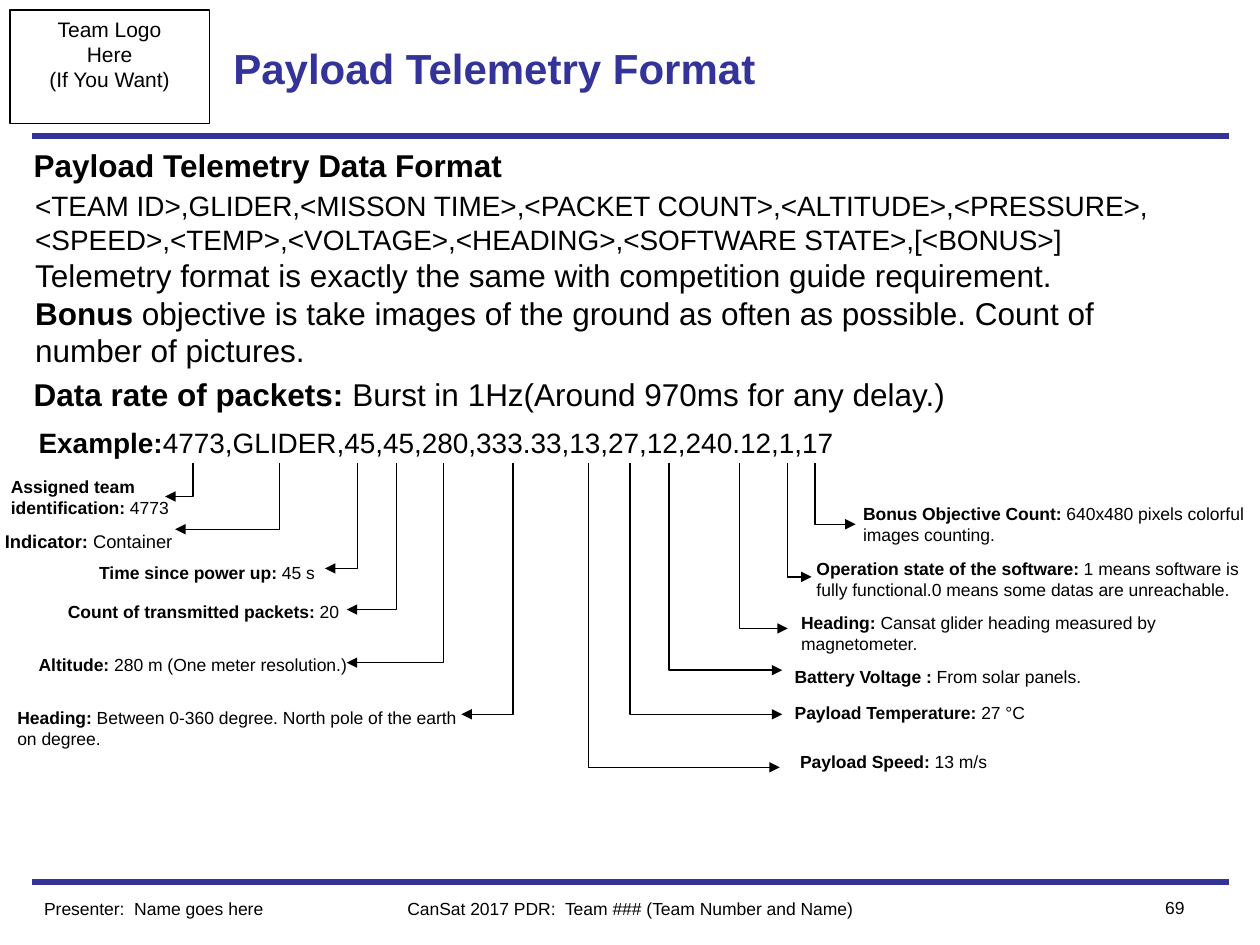
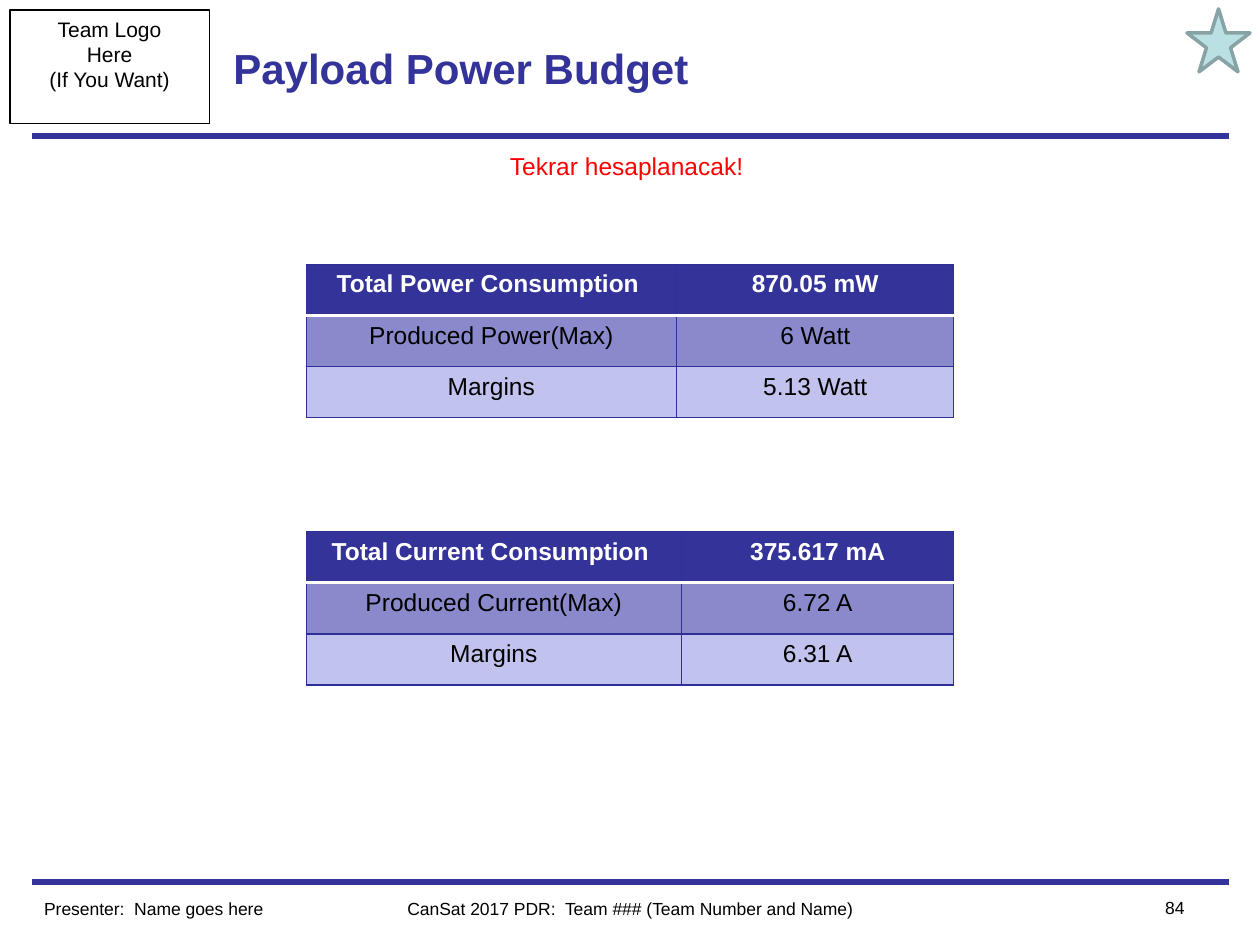
"""Build the CanSat payload telemetry format and power budget slides."""
from dataclasses import dataclass
from typing import NamedTuple

from lxml.etree import SubElement
from pptx import Presentation
from pptx.dml.color import RGBColor
from pptx.enum.shapes import MSO_CONNECTOR, MSO_SHAPE
from pptx.enum.text import MSO_ANCHOR, MSO_AUTO_SIZE, PP_ALIGN
from pptx.oxml import parse_xml
from pptx.oxml.ns import nsdecls, qn
from pptx.util import Cm, Pt


@dataclass(frozen=True)
class Theme:
    """Colours, font and type sizes in points."""
    font: str = "Arial"
    navy: str = "333399"
    grid: str = "2F2F98"
    row_dark: str = "8989CC"
    row_light: str = "C2C2EE"
    star_fill: str = "BBE0E3"
    star_line: str = "88A3A5"
    red: str = "FF0000"
    black: str = "000000"
    white: str = "FFFFFF"
    title: float = 24
    body: float = 18
    packet: float = 16
    table: float = 14
    logo: float = 12
    small: float = 10


T = Theme()


class Run(NamedTuple):
    """A stretch of text in one format."""
    text: str
    bold: bool = False
    size: float = T.small
    color: str = T.black


class Box(NamedTuple):
    """Left, top, width and height in centimetres."""
    left: float
    top: float
    width: float
    height: float

    def emu(self) -> list:
        return [Cm(v) for v in self]


class Callout(NamedTuple):
    """A label and the arrow to it from one packet field."""
    field_x: float
    tip_x: float
    tip_y: float
    left: float
    top: float
    width: float
    lines: int
    name: str
    meaning: str
    size: float = T.small
    lead: str = ""


class Budget(NamedTuple):
    """A two-column table of budget values."""
    top: float
    columns: tuple
    rows: tuple


FIELD_Y = 9.33
CALLOUTS = [
    Callout(3.89, 3.33, 10.01, -0.03, 9.47, 3.73, 2, "identification: ", "4773",
            lead="Assigned team"),
    Callout(5.64, 3.53, 10.67, -0.15, 10.57, 3.99, 1, "Indicator: ", "Container", 10.5),
    Callout(7.21, 6.55, 11.46, 1.75, 11.2, 4.98, 1, "Time since power up: ", "45 s"),
    Callout(8, 6.99, 12.29, 1.12, 11.99, 6.07, 1, "Count of transmitted packets: ", "20"),
    Callout(8.94, 6.99, 13.36, 0.53, 13.06, 6.88, 1, "Altitude: ",
            "280 m (One meter resolution.)"),
    Callout(10.34, 9.3, 14.4, 0.1, 14.12, 9.37, 2, "Heading: ",
            "Between 0-360 degree. North pole of the earth on degree."),
    Callout(11.86, 15.72, 15.47, 15.88, 15.01, 9.5, 1, "Payload Speed: ", "13 m/s"),
    Callout(12.7, 15.77, 14.4, 15.77, 14.02, 9.5, 1, "Payload Temperature: ", "27 °C"),
    Callout(13.49, 15.77, 13.51, 15.77, 13.31, 9.5, 1, "Battery Voltage : ",
            "From solar panels."),
    Callout(14.91, 15.88, 12.67, 15.9, 12.22, 9.5, 2, "Heading: ",
            "Cansat glider heading measured by magnetometer."),
    Callout(15.88, 16.36, 11.63, 16.21, 11.13, 9.5, 2, "Operation state of the software: ",
            "1 means software is fully functional.0 means some datas are unreachable."),
    Callout(16.43, 17.25, 10.57, 17.15, 10.01, 8.26, 2, "Bonus Objective Count: ",
            "640x480 pixels colorful images counting."),
]

TELEMETRY_TEXT = [
    (Box(0.46, 3.68, 23.5, 3.94), [
        [Run("<TEAM ID>,GLIDER,<MISSON TIME>,<PACKET COUNT>,<ALTITUDE>,<PRESSURE>,",
             size=T.packet)],
        [Run("<SPEED>,<TEMP>,<VOLTAGE>,<HEADING>,<SOFTWARE STATE>,[<BONUS>]", size=T.packet)],
        [Run("Telemetry format is exactly the same with competition guide requirement.",
             size=T.body)],
        [Run("Bonus ", True, T.body),
         Run("objective is take images of the ground as often as possible. "
             "Count of number of pictures.", size=T.body)]]),
    (Box(0.43, 7.44, 19.48, 1.02), [
        [Run("Data rate of packets: ", True, T.body),
         Run("Burst in 1Hz(Around 970ms for any delay.)", size=T.body)]]),
    (Box(0.53, 8.46, 24.33, 0.94), [
        [Run("Example:", True, T.packet),
         Run("4773,GLIDER,45,45,280,333.33,13,27,12,240.12,1,17", size=T.packet)]]),
    (Box(0.43, 2.82, 11.76, 1.02), [
        [Run("Payload Telemetry Data Format", True, T.body)]]),
]

BUDGETS = [
    Budget(5.33, (7.47, 5.59), (("Total Power Consumption ", "870.05 mW"),
                                ("Produced Power(Max)", "6 Watt"),
                                ("Margins", "5.13 Watt"))),
    Budget(10.72, (7.57, 5.49), (("Total Current Consumption ", "375.617 mA"),
                                 ("Produced Current(Max)", "6.72 A"),
                                 ("Margins", "6.31 A"))),
]


def rgb(color: str) -> RGBColor:
    return RGBColor.from_string(color)


def write(tf, paragraphs: list, align=PP_ALIGN.LEFT) -> None:
    for i, runs in enumerate(paragraphs):
        p = tf.add_paragraph() if i else tf.paragraphs[0]
        p.alignment = align
        for run in runs:
            r = p.add_run()
            r.text = run.text
            r.font.name = T.font
            r.font.size = Pt(run.size)
            r.font.bold = run.bold
            r.font.color.rgb = rgb(run.color)


def add_text(s, box: Box, paragraphs: list, align=PP_ALIGN.LEFT) -> None:
    tf = s.shapes.add_textbox(*box.emu()).text_frame
    tf.word_wrap = True
    write(tf, paragraphs, align)


def add_shape(s, kind, box: Box, line: str, width: float, fill: str = ""):
    sp = s.shapes.add_shape(kind, *box.emu())
    sp.shadow.inherit = False
    if fill:
        sp.fill.solid()
        sp.fill.fore_color.rgb = rgb(fill)
    else:
        sp.fill.background()
    sp.line.color.rgb = rgb(line)
    sp.line.width = Pt(width)
    return sp


def add_line(s, kind, start: tuple, end: tuple, color: str, width: float):
    cxn = s.shapes.add_connector(kind, *(Cm(v) for v in (*start, *end)))
    cxn.line.color.rgb = rgb(color)
    cxn.line.width = Pt(width)
    SubElement(cxn._element.spPr, qn("a:effectLst"))
    return cxn


def add_elbow_arrow(s, x: float, y: float, tip_x: float, tip_y: float) -> None:
    """Draw an arrow that goes down, then sideways, as a turned elbow connector."""
    drop, reach = tip_y - y, abs(tip_x - x)
    left, top = (x + tip_x - drop) / 2, (y + tip_y - reach) / 2
    begin, end = left, left + drop
    rightward = tip_x > x
    if rightward:
        begin, end = end, begin
    cxn = add_line(s, MSO_CONNECTOR.ELBOW, (begin, top), (end, top + reach), T.black, 0.75)
    sp_pr = cxn._element.spPr
    sp_pr.find(qn("a:xfrm")).set("rot", str((270 if rightward else 90) * 60000))
    guides = sp_pr.find(qn("a:prstGeom")).get_or_add_avLst()
    SubElement(guides, qn("a:gd"), name="adj1", fmla="val 100000")
    SubElement(sp_pr.find(qn("a:ln")), qn("a:tailEnd"), type="triangle")


def add_callout(s, c: Callout) -> None:
    add_elbow_arrow(s, c.field_x, FIELD_Y, c.tip_x, c.tip_y)
    lead = [[Run(c.lead, True, c.size)]] if c.lead else []
    label = [Run(c.name, True, c.size), Run(c.meaning, size=c.size)]
    add_text(s, Box(c.left, c.top, c.width, 0.69 + 0.43 * (c.lines - 1)), lead + [label])


def set_borders(cell, top: tuple, bottom: tuple) -> None:
    side = (T.grid, 0.75)
    for i, (tag, (color, width)) in enumerate(
            zip(("lnL", "lnR", "lnT", "lnB"), (side, side, top, bottom))):
        cell._tc.get_or_add_tcPr().insert(i, parse_xml(
            f'<a:{tag} {nsdecls("a")} w="{Pt(width)}"><a:solidFill>'
            f'<a:srgbClr val="{color}"/></a:solidFill></a:{tag}>'))


def add_budget(s, budget: Budget) -> None:
    row_height = 1.03
    box = Box(6.17, budget.top, sum(budget.columns), row_height * len(budget.rows))
    table = s.shapes.add_table(len(budget.rows), 2, *box.emu()).table
    for column, width in zip(table.columns, budget.columns):
        column.width = Cm(width)
    thin, thick = (T.grid, 0.75), (T.white, 2)
    fills = (T.navy, T.row_dark, T.row_light)
    for i, (texts, fill) in enumerate(zip(budget.rows, fills)):
        head = i == 0
        for j, text in enumerate(texts):
            cell = table.cell(i, j)
            cell.fill.solid()
            cell.fill.fore_color.rgb = rgb(fill)
            set_borders(cell, thick if i == 1 else thin, thick if head else thin)
            color = T.white if head else T.black
            write(cell.text_frame, [[Run(text, head, T.table, color)]], PP_ALIGN.CENTER)


def add_base_slide(prs, title: str, number: int):
    s = prs.slides.add_slide(prs.slide_layouts[5])
    for y in (17.78, 2.74):
        add_line(s, MSO_CONNECTOR.STRAIGHT, (0.64, y), (24.77, y), T.navy, 3)
    logo = add_shape(s, MSO_SHAPE.RECTANGLE, Box(0.2, 0.2, 4.02, 2.29), T.black, 0.75)
    logo.text_frame.vertical_anchor = MSO_ANCHOR.TOP
    lines = ("Team Logo", "Here", "(If You Want)")
    write(logo.text_frame, [[Run(line, size=T.logo)] for line in lines], PP_ALIGN.CENTER)
    sp = s.shapes.title
    sp.left, sp.top, sp.width, sp.height = Box(4.45, 0.2, 16.5, 2.34).emu()
    sp.text_frame.vertical_anchor = MSO_ANCHOR.MIDDLE
    sp.text_frame.auto_size = MSO_AUTO_SIZE.NONE
    write(sp.text_frame, [[Run(title, True, T.title, T.navy)]])
    for box, text, align in (
            (Box(0.64, 17.98, 6.35, 0.69), "Presenter:  Name goes here", PP_ALIGN.LEFT),
            (Box(7.62, 17.98, 10.16, 0.69),
             "CanSat 2017 PDR:  Team ### (Team Number and Name)", PP_ALIGN.CENTER),
            (Box(22.23, 17.95, 1.9, 0.69), str(number), PP_ALIGN.RIGHT)):
        add_text(s, box, [[Run(text)]], align)
    return s


def build_telemetry(prs) -> None:
    s = add_base_slide(prs, "Payload Telemetry Format", 69)
    for box, paragraphs in TELEMETRY_TEXT:
        add_text(s, box, paragraphs)
    for callout in CALLOUTS:
        add_callout(s, callout)


def build_power(prs) -> None:
    s = add_base_slide(prs, "Payload Power Budget", 84)
    add_shape(s, MSO_SHAPE.STAR_5_POINT, Box(23.93, 0.18, 1.27, 1.27),
              T.star_line, 2, T.star_fill)
    for budget in BUDGETS:
        add_budget(s, budget)
    add_text(s, Box(10.03, 2.92, 5.33, 0.86),
             [[Run("Tekrar hesaplanacak!", size=T.table, color=T.red)]])


def main() -> None:
    prs = Presentation()
    prs.slide_width, prs.slide_height = Cm(25.4), Cm(19.05)
    build_telemetry(prs)
    build_power(prs)
    prs.save("out.pptx")


if __name__ == "__main__":
    main()
